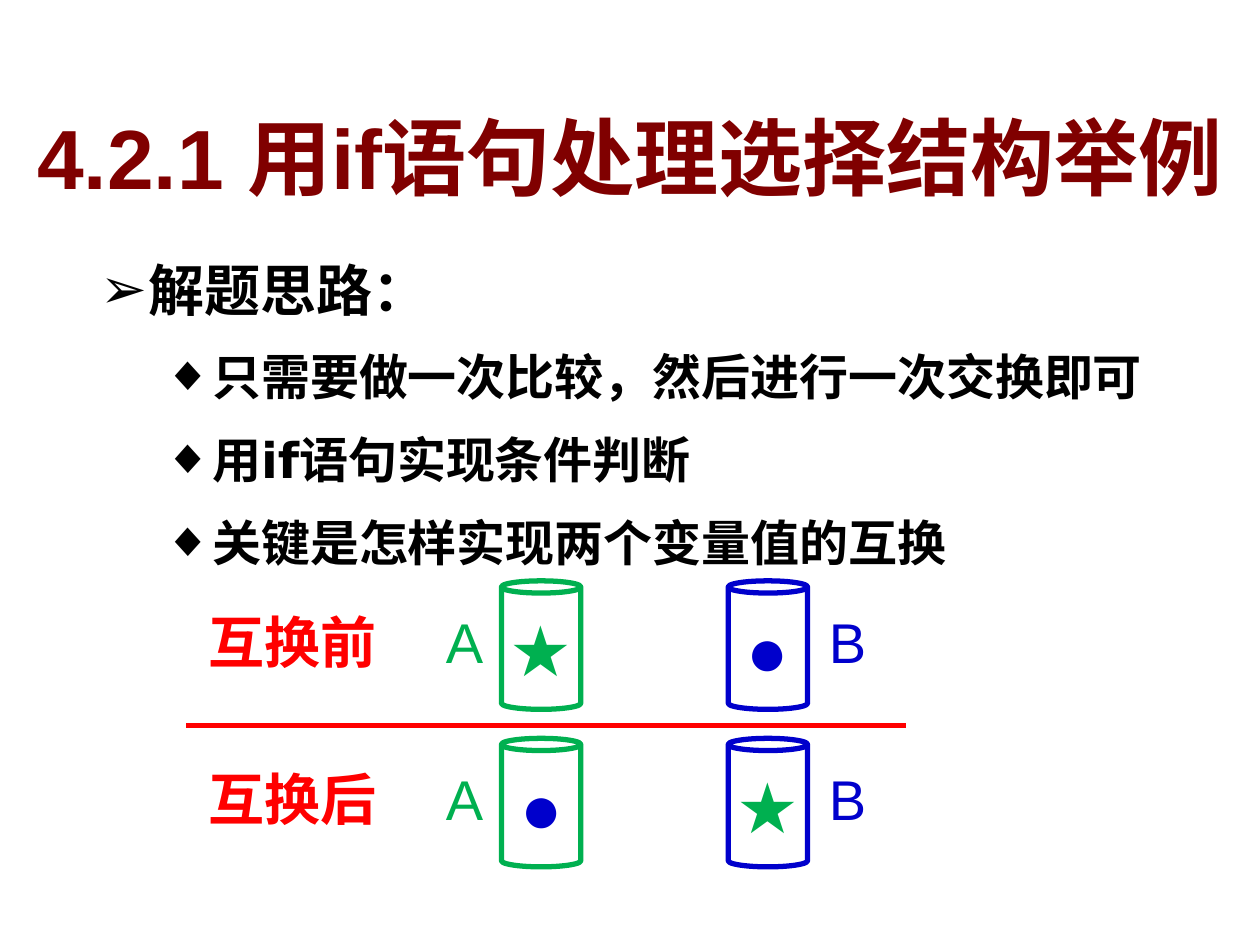
from dataclasses import dataclass

from lxml.etree import SubElement
from pptx import Presentation
from pptx.dml.color import RGBColor
from pptx.enum.shapes import MSO_CONNECTOR, MSO_SHAPE
from pptx.enum.text import MSO_ANCHOR, MSO_AUTO_SIZE, PP_ALIGN
from pptx.oxml.ns import qn
from pptx.util import Inches, Pt


@dataclass(frozen=True)
class Theme:
    title: str = "800000"
    text: str = "000000"
    green: str = "00B050"
    blue: str = "0000CC"
    red: str = "FF0000"
    white: str = "FFFFFF"
    shadow: str = "C0C0C0"
    font: str = "Arial"
    body_font: str = "DejaVu Sans"
    title_size: int = 48
    symbol_size: int = 40
    label_size: int = 32
    point_size: int = 28
    stroke: int = 3


THEME = Theme()
TITLE = "4.2.1 用if语句处理选择结构举例"
HEADING = "解题思路："
POINTS = ["只需要做一次比较，然后进行一次交换即可",
          "用if语句实现条件判断",
          "关键是怎样实现两个变量值的互换"]
STAR, DOT = ("★", THEME.green), ("●", THEME.blue)
# Caption, content of A, content of B
ROWS = [("互换前", STAR, DOT), ("互换后", DOT, STAR)]
ROW_TOP, ROW_STEP = 4.61, 1.25


def style(p, size, color, bold=False, font=THEME.font):
    for r in p.runs:
        r.font.name = font
        r.font.size = Pt(size)
        r.font.bold = bold
        r.font.color.rgb = RGBColor.from_string(color)


def add_text_shadow(r):
    effects = SubElement(r.font._element, qn("a:effectLst"))
    shadow = SubElement(effects, qn("a:outerShdw"), dist="38100", dir="2700000")
    SubElement(shadow, qn("a:srgbClr"), val=THEME.shadow)
    # Effects come straight after the fill
    r.font._element.find(qn("a:solidFill")).addnext(effects)


def add_title(s):
    title = s.shapes.title
    title.left, title.top = Inches(0.08), Inches(0.39)
    title.width, title.height = Inches(9.84), Inches(1.7)
    tf = title.text_frame
    tf.text = TITLE
    tf.vertical_anchor = MSO_ANCHOR.MIDDLE
    p = tf.paragraphs[0]
    p.alignment = PP_ALIGN.CENTER
    style(p, THEME.title_size, THEME.title, bold=True)
    add_text_shadow(p.runs[0])


def add_bullet(p, char, margin, indent):
    pPr = p._p.get_or_add_pPr()
    pPr.set("marL", str(Inches(margin)))
    pPr.set("indent", str(Inches(-indent)))
    color = SubElement(pPr, qn("a:buClr"))
    SubElement(color, qn("a:srgbClr"), val=THEME.text)
    SubElement(pPr, qn("a:buFont"), typeface=THEME.font)
    SubElement(pPr, qn("a:buChar"), char=char)


def add_outline(s):
    box = s.shapes.add_textbox(Inches(0.7), Inches(1.87), Inches(8.52), Inches(2.81))
    tf = box.text_frame
    tf.word_wrap = True
    p = tf.paragraphs[0]
    p.text = HEADING
    add_bullet(p, "➢", 0.38, 0.38)
    p.line_spacing = 1.2
    style(p, THEME.label_size, THEME.text, True, THEME.body_font)
    for point in POINTS:
        p = tf.add_paragraph()
        p.text = point
        p.level = 1
        add_bullet(p, "◆", 0.81, 0.31)
        p.line_spacing = 1.2
        p.space_before = Pt(7)
        style(p, THEME.point_size, THEME.text, True, THEME.body_font)


def add_label(s, text, left, top, width, color, bold=False):
    box = s.shapes.add_textbox(Inches(left), Inches(top), Inches(width), Inches(0.64))
    tf = box.text_frame
    tf.word_wrap = True
    tf.auto_size = MSO_AUTO_SIZE.SHAPE_TO_FIT_TEXT
    tf.text = text
    style(tf.paragraphs[0], THEME.label_size, color, bold)


def add_can(s, left, top, color, content):
    can = s.shapes.add_shape(MSO_SHAPE.CAN, Inches(left), Inches(top),
                             Inches(0.63), Inches(1.02))
    can.adjustments[0] = 0.154
    can.shadow.inherit = False
    can.fill.solid()
    can.fill.fore_color.rgb = RGBColor.from_string(THEME.white)
    can.line.color.rgb = RGBColor.from_string(color)
    can.line.width = Pt(THEME.stroke)
    symbol, symbol_color = content
    tf = can.text_frame
    tf.word_wrap = False
    tf.vertical_anchor = MSO_ANCHOR.MIDDLE
    tf.text = symbol
    p = tf.paragraphs[0]
    p.alignment = PP_ALIGN.CENTER
    style(p, THEME.symbol_size, symbol_color)


def add_row(s, top, caption, in_a, in_b):
    add_can(s, 3.98, top, THEME.green, in_a)
    add_can(s, 5.78, top, THEME.blue, in_b)
    label_top = top + 0.16
    add_label(s, "A", 3.44, label_top, 0.47, THEME.green)
    add_label(s, "B", 6.48, label_top, 0.47, THEME.blue)
    add_label(s, caption, 1.56, label_top, 1.56, THEME.red, bold=True)


def add_divider(s):
    line = s.shapes.add_connector(MSO_CONNECTOR.STRAIGHT, Inches(1.48), Inches(5.76),
                                  Inches(7.19), Inches(5.76))
    line.line.color.rgb = RGBColor.from_string(THEME.red)
    line.line.width = Pt(THEME.stroke)
    SubElement(line._element.spPr, qn("a:effectLst"))


def main():
    prs = Presentation()
    prs.slide_width, prs.slide_height = Inches(10), Inches(7.5)
    s = prs.slides.add_slide(prs.slide_layouts[5])

    # Title and line of thought
    add_title(s)
    add_outline(s)

    # Cans before and after the swap
    for i, row in enumerate(ROWS):
        add_row(s, ROW_TOP + i * ROW_STEP, *row)
    add_divider(s)

    prs.save("out.pptx")


if __name__ == "__main__":
    main()
